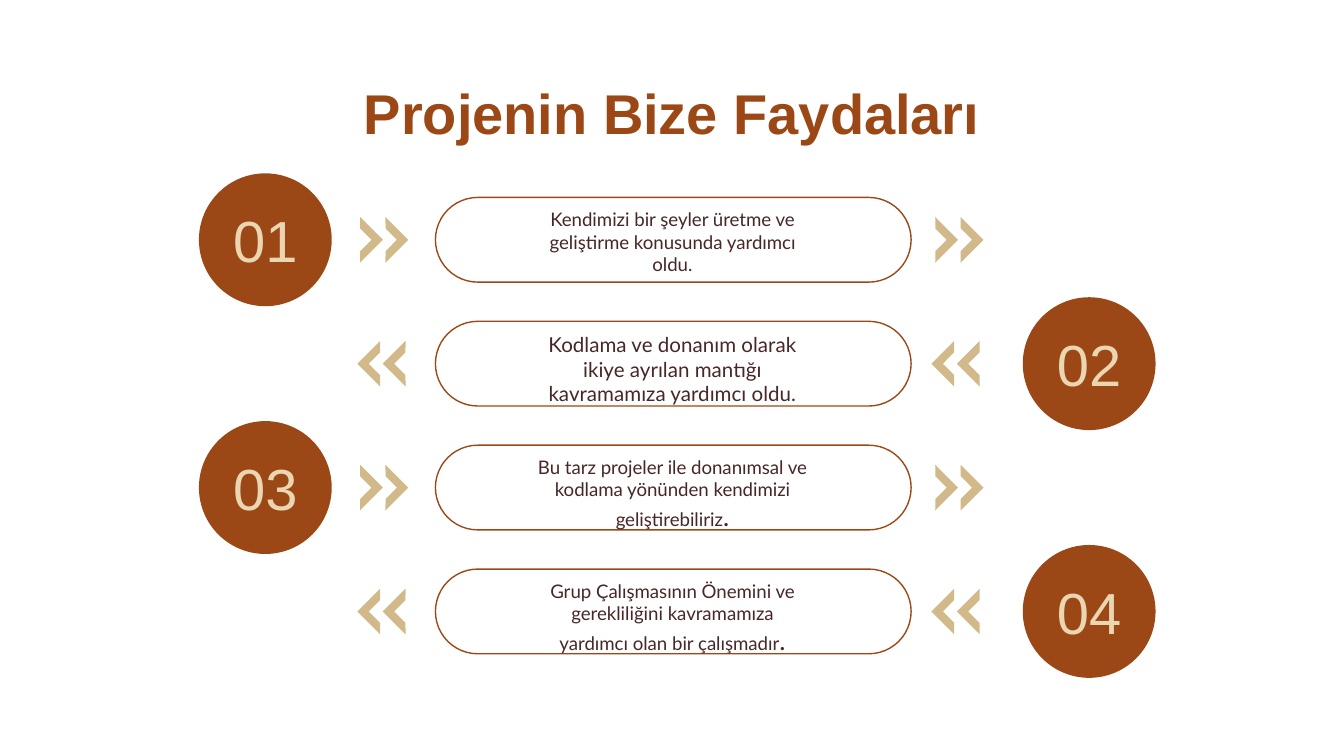
from dataclasses import dataclass

from pptx import Presentation
from pptx.dml.color import RGBColor
from pptx.enum.shapes import MSO_SHAPE
from pptx.enum.text import MSO_ANCHOR, MSO_AUTO_SIZE, PP_ALIGN
from pptx.util import Cm, Pt


@dataclass(frozen=True)
class Theme:
    """Colours, fonts and type sizes of the slide."""
    rust: RGBColor = RGBColor.from_string("9C4816")
    sand: RGBColor = RGBColor.from_string("D1B989")
    cream: RGBColor = RGBColor.from_string("EAD7B1")
    ink: RGBColor = RGBColor.from_string("472727")
    head_font: str = "Arial"
    body_font: str = "Lato"
    title_size: int = 30
    number_size: int = 31
    small_size: int = 10
    large_size: int = 11
    stop_size: int = 14


class Deck:
    """Draws the elements of the slide in one style."""

    def __init__(self, prs, theme):
        self.theme = theme
        self.s = prs.slides.add_slide(prs.slide_layouts[5])

    def set_text(self, tf, text, font, size, color, bold=False, inset=0.25):
        """Put one centred paragraph in a text frame."""
        tf.word_wrap = True
        tf.auto_size = MSO_AUTO_SIZE.NONE
        tf.margin_left = tf.margin_right = Cm(inset)
        tf.margin_top = tf.margin_bottom = Cm(inset)
        p = tf.paragraphs[0]
        p.alignment = PP_ALIGN.CENTER
        p.font.name, p.font.size, p.font.bold = font, Pt(size), bold
        p.font.color.rgb = color
        p.add_run().text = text
        return p

    def title(self, text):
        """Fill the title placeholder."""
        sp = self.s.shapes.title
        sp.left, sp.top, sp.width, sp.height = Cm(1.27), Cm(1.24), Cm(22.86), Cm(1.6)
        tf = sp.text_frame
        tf.vertical_anchor = MSO_ANCHOR.TOP
        t = self.theme
        self.set_text(tf, text, t.head_font, t.title_size, t.rust, bold=True)

    def shape(self, kind, left, middle, width, height, fill=None):
        """Add a shape centred on a height, filled or outlined."""
        sp = self.s.shapes.add_shape(
            kind, Cm(left), Cm(middle - height / 2), Cm(width), Cm(height))
        sp.shadow.inherit = False
        if fill is None:
            sp.fill.background()
            sp.line.color.rgb = self.theme.rust
            sp.line.width = Pt(0.75)
        else:
            sp.fill.solid()
            sp.fill.fore_color.rgb = fill
            sp.line.fill.background()
        return sp

    def pill(self, middle):
        """Add the rounded outline of a row."""
        sp = self.shape(MSO_SHAPE.ROUNDED_RECTANGLE, 8.23, middle, 8.99, 1.6)
        sp.adjustments[0] = 0.5

    def benefit(self, middle, text, size, stop):
        """Add the text of a row, with an optional larger full stop."""
        t = self.theme
        tb = self.s.shapes.add_textbox(Cm(9.88), Cm(middle - 0.85), Cm(5.66), Cm(1.7))
        p = self.set_text(tb.text_frame, text, t.body_font, size, t.ink)
        if stop:
            r = p.add_run()
            r.text = stop
            r.font.size = Pt(t.stop_size)

    def number(self, left, middle, text):
        """Add a numbered circle."""
        t = self.theme
        sp = self.shape(MSO_SHAPE.OVAL, left, middle, 2.51, 2.51, t.rust)
        sp.text_frame.vertical_anchor = MSO_ANCHOR.MIDDLE
        self.set_text(sp.text_frame, text, t.head_font, t.number_size, t.cream, inset=0)

    def chevrons(self, left, middle, rotation):
        """Add a pair of chevrons."""
        for x in (left, left + 0.48):
            sp = self.shape(MSO_SHAPE.HALF_FRAME, x, middle, 0.61, 0.61, self.theme.sand)
            sp.adjustments[0], sp.adjustments[1] = 0.25, 0.25
            sp.rotation = rotation


THEME = Theme()
ROWS = [
    ("Kendimizi bir şeyler üretme ve geliştirme konusunda yardımcı oldu.",
     THEME.small_size, ""),
    ("Kodlama ve donanım olarak ikiye ayrılan mantığı kavramamıza yardımcı oldu.",
     THEME.large_size, ""),
    ("Bu tarz projeler ile donanımsal ve kodlama yönünden kendimizi geliştirebiliriz",
     THEME.small_size, "."),
    ("Grup Çalışmasının Önemini ve gerekliliğini kavramamıza yardımcı olan bir çalışmadır",
     THEME.small_size, "."),
]
SIDES = [(3.76, (6.5, 17.37), 135), (19.33, (6.88, 17.73), 315)]
FIRST_ROW, ROW_PITCH = 4.53, 2.34


def main():
    """Build the slide and save it."""
    prs = Presentation()
    prs.slide_width, prs.slide_height = Cm(25.4), Cm(14.28)
    deck = Deck(prs, THEME)
    deck.title("Projenin Bize Faydaları")
    for i, (text, size, stop) in enumerate(ROWS):
        middle = FIRST_ROW + i * ROW_PITCH
        circle_left, chevron_lefts, rotation = SIDES[i % 2]
        deck.pill(middle)
        deck.benefit(middle, text, size, stop)
        deck.number(circle_left, middle, f"{i + 1:02d}")
        for left in chevron_lefts:
            deck.chevrons(left, middle, rotation)
    prs.save("out.pptx")


if __name__ == "__main__":
    main()
